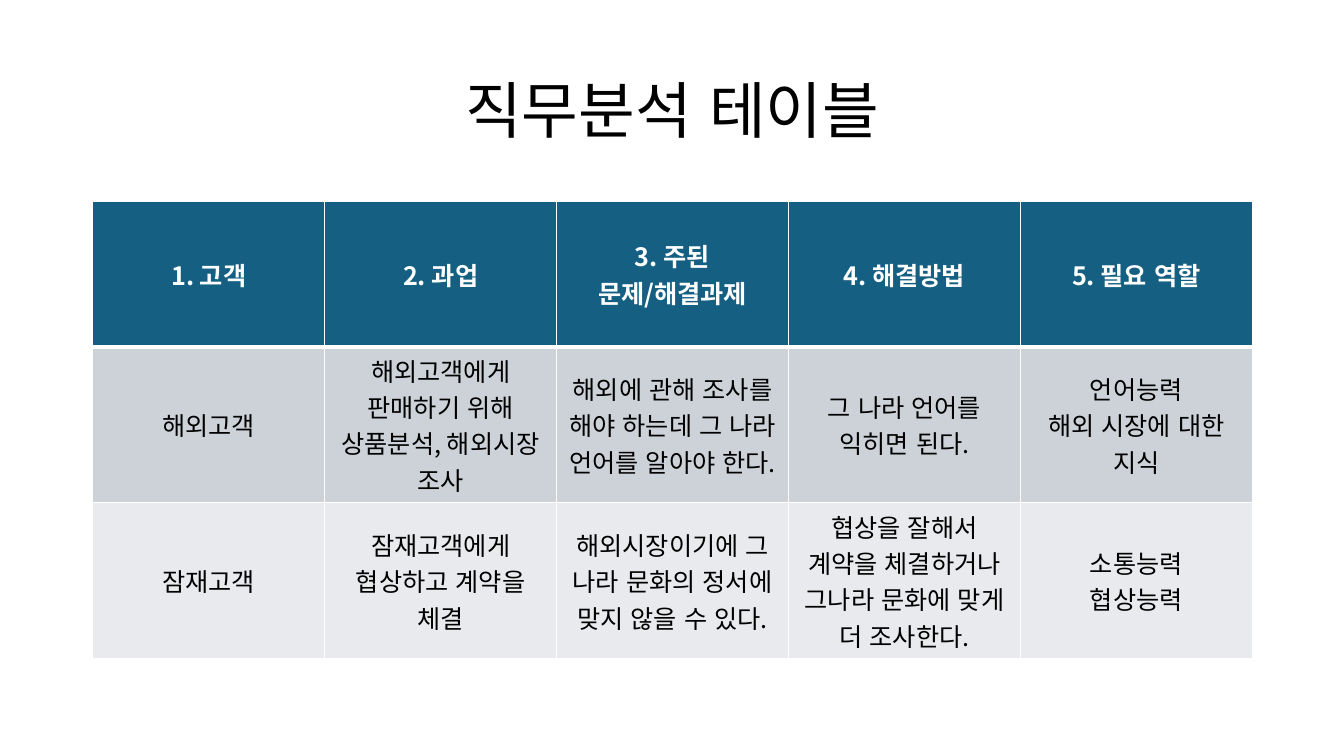
"""Build the job analysis table slide."""
from lxml.etree import SubElement
from pptx import Presentation
from pptx.dml.color import RGBColor
from pptx.enum.lang import MSO_LANGUAGE_ID
from pptx.enum.text import MSO_ANCHOR, PP_ALIGN
from pptx.oxml import parse_xml
from pptx.oxml.ns import nsdecls, qn
from pptx.util import Emu, Pt

TITLE = "직무분석 테이블"
ROWS = [
    ["1. 고객", "2. 과업", "3. 주된 문제/해결과제", "4. 해결방법", "5. 필요 역할"],
    [
        "해외고객",
        "해외고객에게 판매하기 위해 상품분석, 해외시장 조사",
        "해외에 관해 조사를 해야 하는데 그 나라 언어를 알아야 한다.",
        "그 나라 언어를 익히면 된다.",
        "언어능력\n해외 시장에 대한 지식",
    ],
    [
        "잠재고객",
        "잠재고객에게 협상하고 계약을 체결",
        "해외시장이기에 그 나라 문화의 정서에 맞지 않을 수 있다.",
        "협상을 잘해서 계약을 체결하거나 그나라 문화에 맞게 더 조사한다.",
        "소통능력\n협상능력",
    ],
]
ROW_FILLS = ["156082", "CCD2D8", "E8EAED"]
ROW_HEIGHTS = [144, 152, 152]
COLUMN_WIDTH = 230
LEFT, TABLE_TOP = 92, 200
TITLE_TOP, TITLE_HEIGHT = 40, 145
FONT = "Noto Sans CJK KR"
WHITE, BLACK = "FFFFFF", "000000"


def px(length):
    return Emu(length * 9144)


def color(value):
    return RGBColor.from_string(value)


def write(text_frame, text, size, fill, bold=False, spacing=None):
    text_frame.text = text
    for paragraph in text_frame.paragraphs:
        paragraph.alignment = PP_ALIGN.CENTER
        paragraph.line_spacing = spacing
        for run in paragraph.runs:
            font = run.font
            font.name, font.size, font.bold = FONT, Pt(size), bold
            font.color.rgb = color(fill)
            font.language_id = MSO_LANGUAGE_ID.KOREAN
            SubElement(run._r.get_or_add_rPr(), qn("a:ea"), typeface=FONT)


def set_borders(cell, **widths):
    properties = cell._tc.get_or_add_tcPr()
    for index, (side, width) in enumerate(widths.items()):
        properties.insert(index, parse_xml(
            f'<a:ln{side} {nsdecls("a")} w="{Pt(width)}"><a:solidFill>'
            f'<a:srgbClr val="{WHITE}"/></a:solidFill></a:ln{side}>'))


def add_title(slide, width):
    title = slide.shapes.title
    title.left, title.top = px(LEFT), px(TITLE_TOP)
    title.width, title.height = px(width), px(TITLE_HEIGHT)
    title.text_frame.vertical_anchor = MSO_ANCHOR.MIDDLE
    write(title.text_frame, TITLE, size=44, fill=BLACK, spacing=0.9)


def add_job_table(slide, width):
    frame = slide.shapes.add_table(
        len(ROWS), len(ROWS[0]), px(LEFT), px(TABLE_TOP), px(width), px(sum(ROW_HEIGHTS)))
    table = frame.table
    for column in table.columns:
        column.width = px(COLUMN_WIDTH)
    for r, texts in enumerate(ROWS):
        table.rows[r].height = px(ROW_HEIGHTS[r])
        header = r == 0
        for c, text in enumerate(texts):
            cell = table.cell(r, c)
            cell.vertical_anchor = MSO_ANCHOR.MIDDLE
            cell.fill.solid()
            cell.fill.fore_color.rgb = color(ROW_FILLS[r])
            set_borders(cell, L=1, R=1, T=3 if r == 1 else 1, B=3 if header else 1)
            write(cell.text_frame, text, size=18, fill=WHITE if header else BLACK, bold=header)


def main():
    presentation = Presentation()
    presentation.slide_width, presentation.slide_height = px(1333), px(750)
    slide = presentation.slides.add_slide(presentation.slide_layouts[5])
    width = COLUMN_WIDTH * len(ROWS[0])
    add_title(slide, width)
    add_job_table(slide, width)
    presentation.save("out.pptx")


if __name__ == "__main__":
    main()
